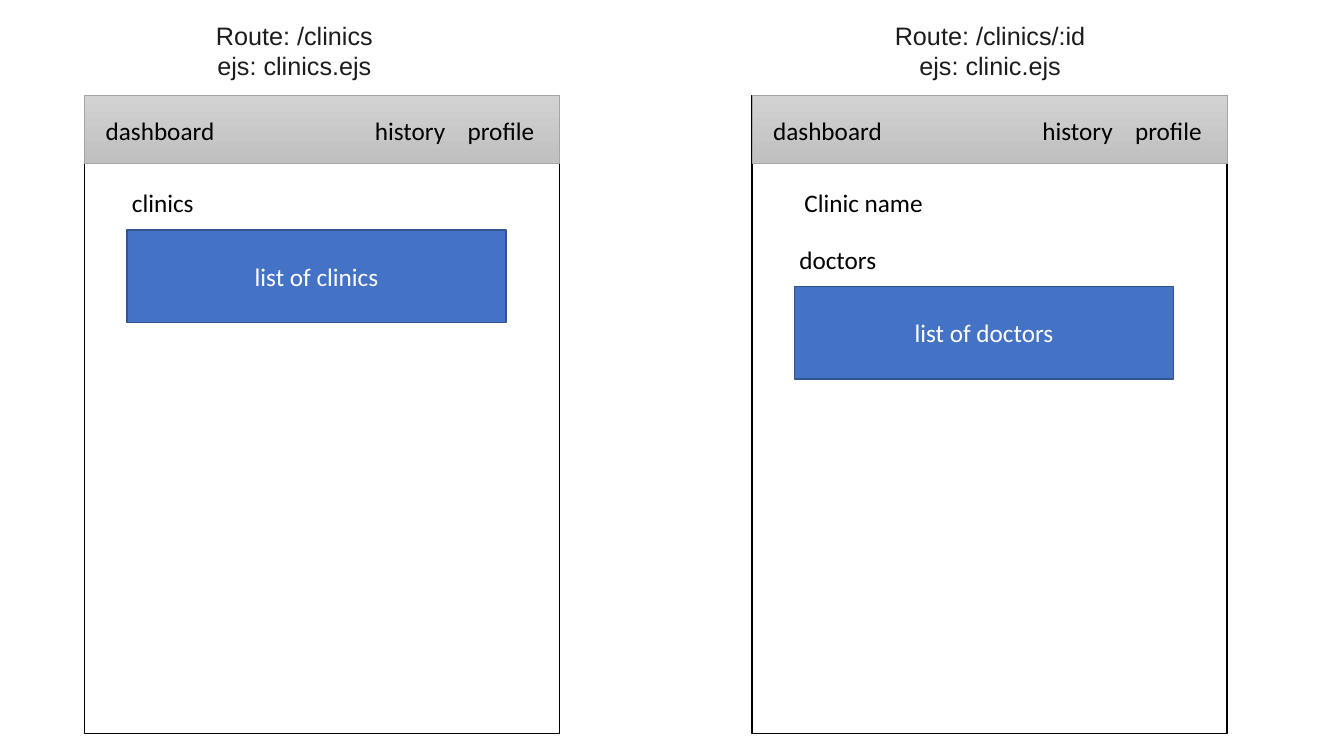
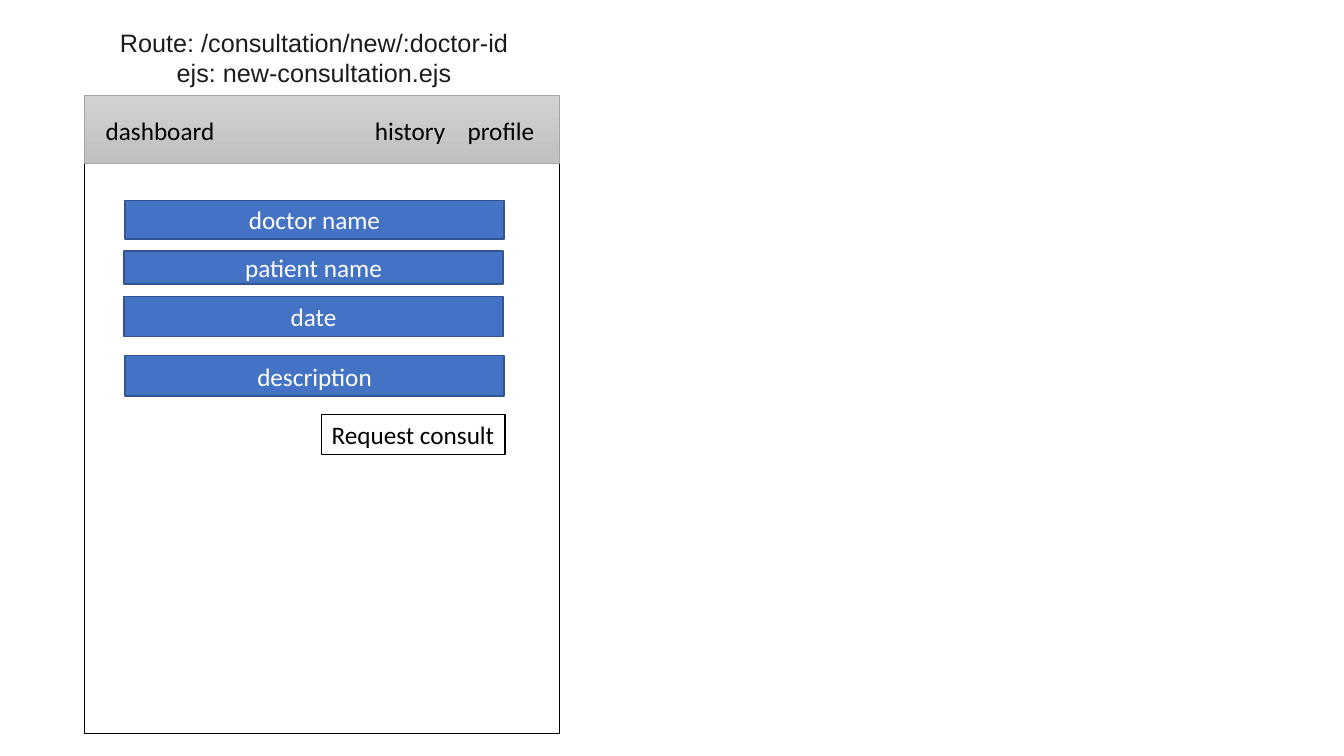
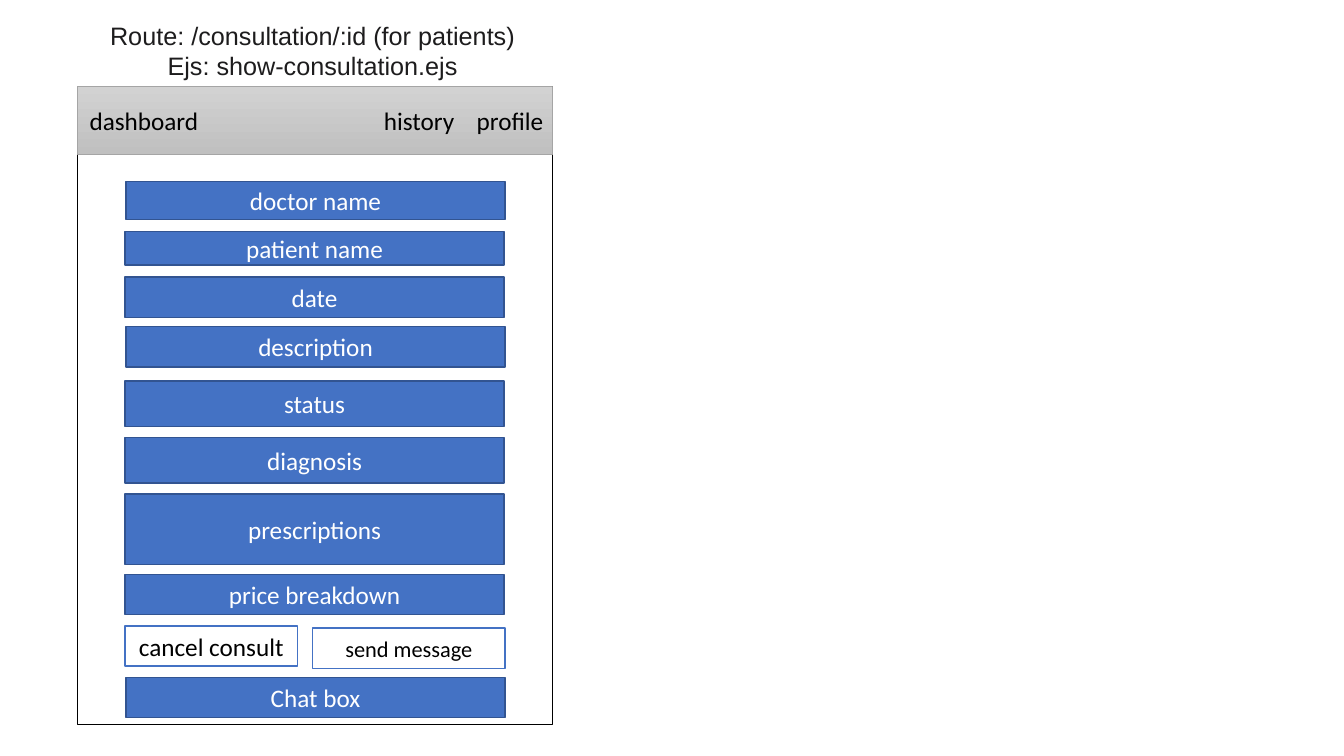
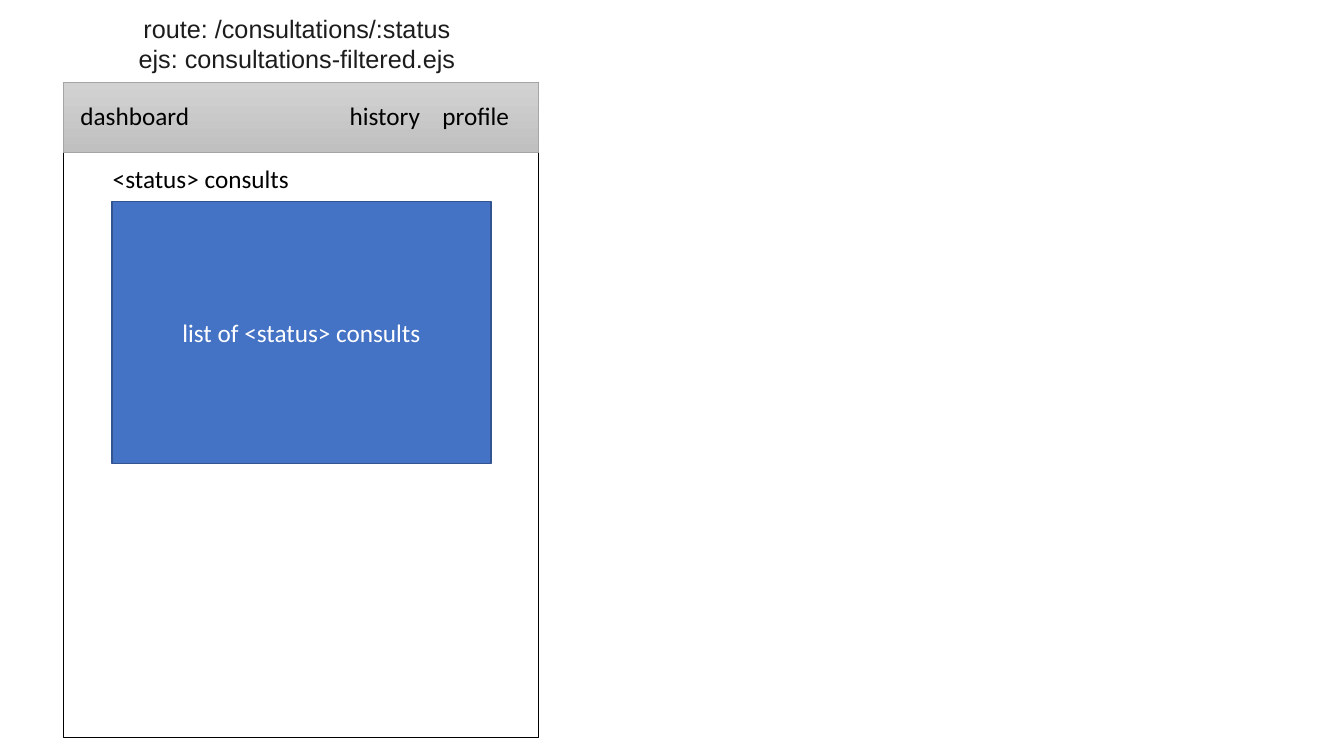
"""Build four slides of wireframes for a clinic consultation site."""
import pptx
import pptx.dml.color
import pptx.enum.shapes
import pptx.enum.text
import pptx.oxml
import pptx.oxml.ns
import pptx.util

Inches = pptx.util.Inches
Pt = pptx.util.Pt
ALIGN = pptx.enum.text.PP_ALIGN
ANCHOR = pptx.enum.text.MSO_ANCHOR


def rgb(value):
    """Turn a hex string into a colour."""
    return pptx.dml.color.RGBColor.from_string(value)


class Wireframes:
    """Hold the shared style and draw on the current slide."""

    BLACK, WHITE, BLUE, NAVY = "000000", "FFFFFF", "4472C4", "325491"
    CAPTION, BAR_TOP, BAR_BOTTOM, BAR_EDGE = "1D1C1D", "D2D2D2", "C0C0C0", "A5A5A5"
    SCREEN_WIDTH, FIELD_WIDTH, ROW = 4.71, 3.76, 0.4

    def __init__(self):
        """Start an empty widescreen presentation."""
        self.deck = pptx.Presentation()
        self.deck.slide_width = Inches(13.33)
        self.deck.slide_height = Inches(7.5)
        self.slide = None

    def new_slide(self):
        """Add a title-only slide and make it current."""
        self.slide = self.deck.slides.add_slide(self.deck.slide_layouts[5])

    def set_words(self, holder, words, color, align=ALIGN.LEFT, anchor=ANCHOR.TOP,
                  font="Calibri", size=18):
        """Put styled words into a shape."""
        frame = holder.text_frame
        frame.text = words
        frame.word_wrap = True
        frame.auto_size = pptx.enum.text.MSO_AUTO_SIZE.NONE
        frame.vertical_anchor = anchor
        for paragraph in frame.paragraphs:
            paragraph.alignment = align
            paragraph.font.name = font
            paragraph.font.size = Pt(size)
            paragraph.font.color.rgb = rgb(color)

    def box(self, left, top, width, height, edge, weight=1):
        """Draw an outlined rectangle without a fill."""
        rectangle = self.slide.shapes.add_shape(
            pptx.enum.shapes.MSO_SHAPE.RECTANGLE,
            Inches(left), Inches(top), Inches(width), Inches(height))
        rectangle.shadow.inherit = False
        rectangle.fill.background()
        rectangle.line.color.rgb = rgb(edge)
        rectangle.line.width = Pt(weight)
        return rectangle

    def label(self, words, left, top, width=3.86):
        """Add a plain line of text."""
        line = self.slide.shapes.add_textbox(
            Inches(left), Inches(top), Inches(width), Inches(self.ROW))
        self.set_words(line, words, self.BLACK)
        return line

    def title(self, words, left, top, width):
        """Put a route caption in the title placeholder."""
        heading = self.slide.shapes.title
        heading.left, heading.top = Inches(left), Inches(top)
        heading.width, heading.height = Inches(width), Inches(0.71)
        self.set_words(heading, words, self.CAPTION, ALIGN.CENTER, font="Arial")

    def caption(self, words, left, top, width):
        """Add a further route caption beside the title."""
        route = self.slide.shapes.add_textbox(
            Inches(left), Inches(top), Inches(width), Inches(0.71))
        self.set_words(route, words, self.CAPTION, ALIGN.CENTER, font="Arial")

    def screen(self, left, top, height=6.33, bar_height=0.67, home=0.11, menu=2.78,
               words_top=0.14):
        """Draw a page outline with its navigation bar."""
        self.box(left, top, self.SCREEN_WIDTH, height, self.BLACK)
        bar = self.box(left, top, self.SCREEN_WIDTH, bar_height, self.BAR_EDGE, 0.5)
        bar.fill.gradient()
        bar.fill.gradient_angle = 270
        for stop, color in zip(bar.fill.gradient_stops, (self.BAR_TOP, self.BAR_BOTTOM)):
            stop.color.rgb = rgb(color)
        self.label("dashboard", left + home, top + words_top, 1.37)
        links = self.label("history\tprofile", left + menu, top + words_top, 1.93)
        tabs = pptx.oxml.parse_xml(
            f'<a:tabLst {pptx.oxml.ns.nsdecls("a")}>'
            f'<a:tab pos="{Inches(0.92)}" algn="l"/></a:tabLst>')
        links.text_frame.paragraphs[0]._p.get_or_add_pPr().insert(0, tabs)

    def field(self, words, left, top, height=ROW):
        """Draw a blue content block."""
        block = self.box(left, top, self.FIELD_WIDTH, height, self.NAVY)
        block.fill.solid()
        block.fill.fore_color.rgb = rgb(self.BLUE)
        self.set_words(block, words, self.WHITE, ALIGN.CENTER, ANCHOR.MIDDLE)

    def button(self, words, left, top, width, edge=BLUE, align=ALIGN.CENTER, size=18):
        """Draw a white button."""
        face = self.box(left, top, width, self.ROW, edge)
        face.fill.solid()
        face.fill.fore_color.rgb = rgb(self.WHITE)
        self.set_words(face, words, self.BLACK, align, ANCHOR.MIDDLE, size=size)


site = Wireframes()

site.new_slide()
site.title("Route: /clinics\nejs: clinics.ejs", 1.47, 0.15, 2.9)
site.caption("Route: /clinics/:id\nejs: clinic.ejs", 8.37, 0.15, 2.9)
for page_left, list_name, list_top in ((0.84, "clinics", 1.81), (7.46, "doctors", 2.37)):
    site.screen(page_left, 0.95)
    site.label(list_name, page_left + 0.37, list_top)
    site.field(f"list of {list_name}", page_left + 0.42, list_top + 0.47, 0.92)
site.label("Clinic name", 7.88, 1.81)

site.new_slide()
site.title("Route: /consultation/new/:doctor-id\nejs: new-consultation.ejs", 0.76, 0.22, 4.71)
site.screen(0.84, 0.95)
for entry, left, top, height in (
        ("doctor name", 1.24, 1.99, 0.38),
        ("patient name", 1.23, 2.49, 0.33),
        ("date", 1.23, 2.94, 0.4),
        ("description", 1.24, 3.53, 0.4)):
    site.field(entry, left, top, height)
site.button("Request consult", 3.19, 4.11, 1.82, site.BLACK, ALIGN.LEFT)

site.new_slide()
site.title("Route: /consultation/:id (for patients)\nEjs: show-consultation.ejs",
           0.83, 0.15, 4.54)
site.screen(0.77, 0.86, home=0.02, menu=2.94)
for detail, left, top, height in (
        ("doctor name", 1.25, 1.8, 0.38),
        ("patient name", 1.24, 2.3, 0.33),
        ("date", 1.24, 2.75, 0.4),
        ("description", 1.25, 3.24, 0.4),
        ("status", 1.24, 3.78, 0.45),
        ("diagnosis", 1.24, 4.34, 0.45),
        ("prescriptions", 1.24, 4.9, 0.7),
        ("price breakdown", 1.24, 5.7, 0.4),
        ("Chat box", 1.25, 6.72, 0.4)):
    site.field(detail, left, top, height)
site.button("cancel consult", 1.24, 6.21, 1.71)
site.button("send message", 3.1, 6.23, 1.91, size=16)

site.new_slide()
site.title("route: /consultations/:status\nejs: consultations-filtered.ejs", 0.59, 0.08, 4.71)
site.screen(0.63, 0.82, 6.5, 0.69, home=0.07, menu=2.74, words_top=0.13)
site.label("<status> consults", 1.02, 1.57)
site.field("list of <status> consults", 1.11, 2, 2.6)

site.deck.save("out.pptx")
